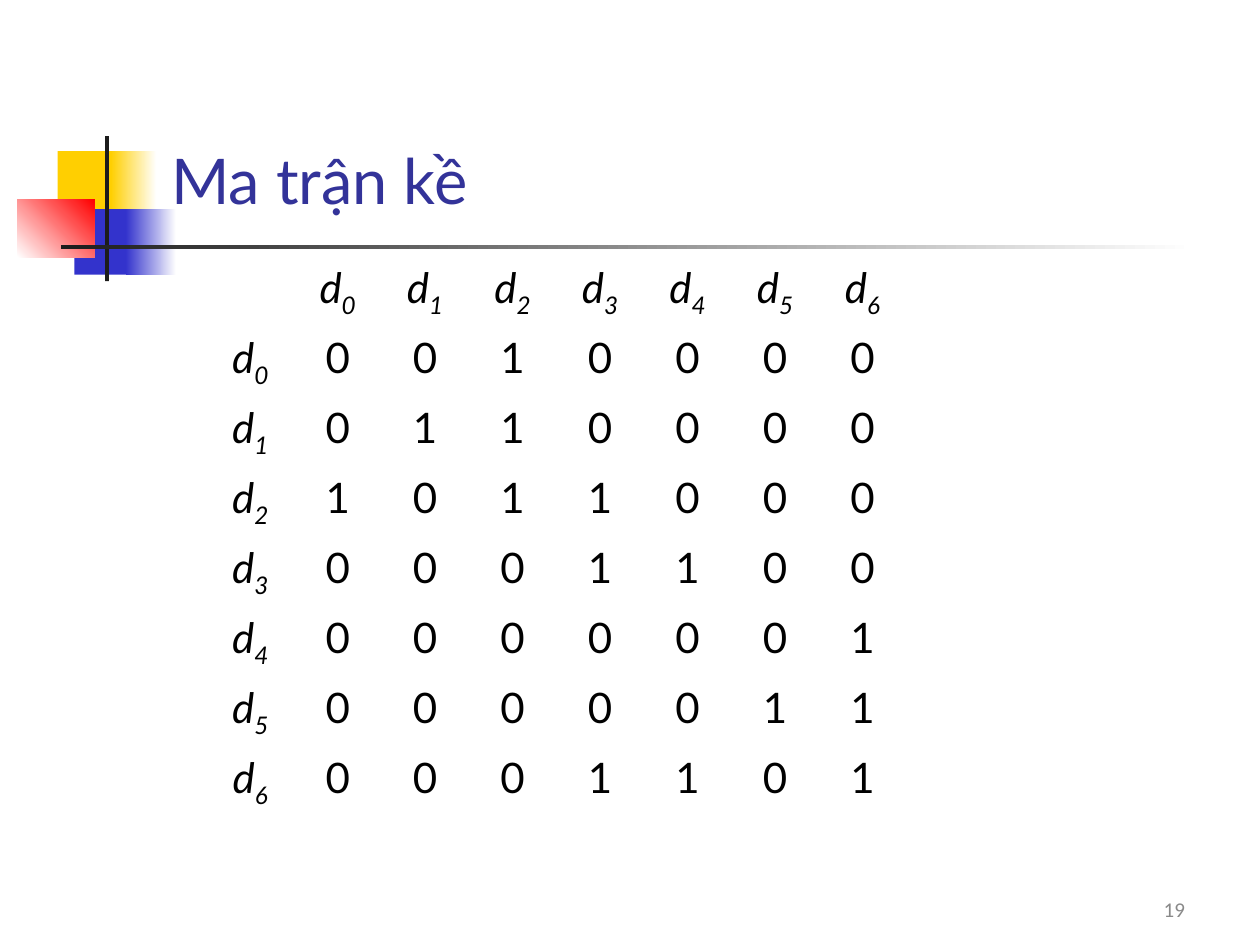
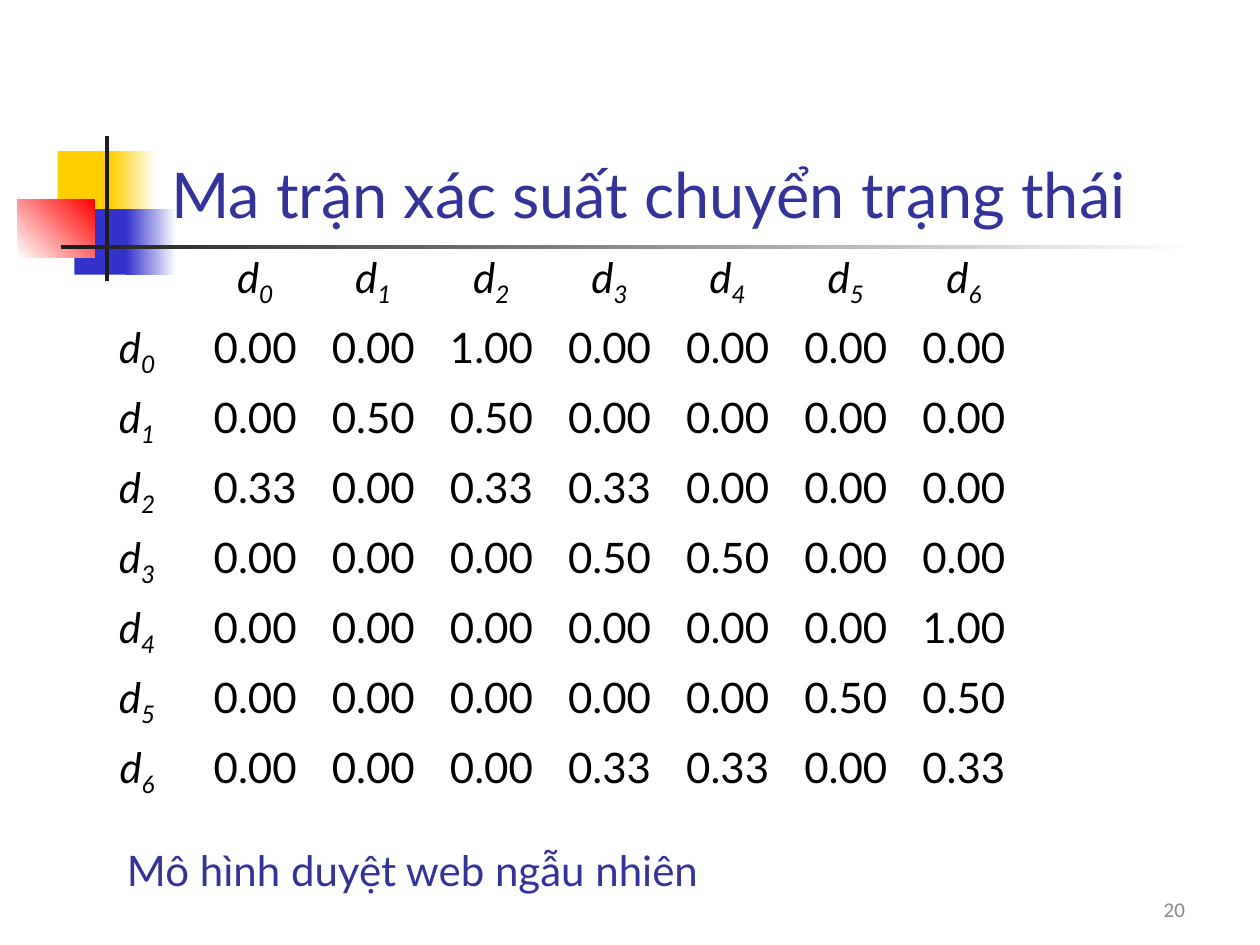
"""Build two slides: an adjacency matrix and its transition probability matrix."""
import lxml.etree
import pptx
import pptx.dml.color
import pptx.enum.shapes
import pptx.enum.text
import pptx.oxml.ns
import pptx.util

Pt = pptx.util.Pt
RGB = pptx.dml.color.RGBColor
qn = pptx.oxml.ns.qn

YELLOW = RGB(0xFF, 0xCF, 0x01)
BLUE = RGB(0x33, 0x33, 0xCC)
RED = RGB(0xFF, 0x00, 0x00)
DARK = RGB(0x1C, 0x1C, 0x1C)
WHITE = RGB(0xFF, 0xFF, 0xFF)
BLACK = RGB(0x00, 0x00, 0x00)
INDIGO = RGB(0x33, 0x33, 0x99)
GREY = RGB(0x89, 0x89, 0x89)
NO_GRID_STYLE = "{2D5ABB26-0587-4C30-8999-92F81FD0307C}"
FIRST_NUMBER = 19
ROW_HEIGHT = 40

LINKS = [
    [0, 0, 1, 0, 0, 0, 0],
    [0, 1, 1, 0, 0, 0, 0],
    [1, 0, 1, 1, 0, 0, 0],
    [0, 0, 0, 1, 1, 0, 0],
    [0, 0, 0, 0, 0, 0, 1],
    [0, 0, 0, 0, 0, 1, 1],
    [0, 0, 0, 1, 1, 0, 1],
]
counts = [[str(v) for v in row] for row in LINKS]
chances = [[f"{v / sum(row):.2f}" for v in row] for row in LINKS]

BANDS = [
    (33, 86.4, 34.5, 37.5, YELLOW, None, 0),
    (63.4, 86.4, 26, 37.5, YELLOW, WHITE, 0),
    (42.5, 119.5, 33, 37.5, BLUE, None, 0),
    (72, 119.5, 28.8, 37.5, BLUE, WHITE, 0),
    (10, 113.8, 44, 33.2, WHITE, RED, 45),
    (60, 77.8, 2.3, 82.8, DARK, None, 0),
    (34.6, 140, 648, 2.3, DARK, WHITE, 0),
]
SLIDES = [
    ("Ma trận kề", 77, counts, 118, 146.2, 50),
    ("Ma trận xác suất chuyển trạng thái", 85, chances, 44.6, 140.4, 67.5),
]


def style(run, size, color, name="Lato"):
    run.font.size = Pt(size)
    run.font.name = name
    run.font.color.rgb = color


def add_text(s, text, box, size, color, name="Lato"):
    sp = s.shapes.add_textbox(*map(Pt, box))
    sp.text_frame.word_wrap = True
    p = sp.text_frame.paragraphs[0]
    p.text = text
    style(p.runs[0], size, color, name)
    return sp


prs = pptx.Presentation()
prs.slide_width, prs.slide_height = Pt(720), Pt(540)
prs.element.set("firstSlideNum", str(FIRST_NUMBER))
layout = prs.slide_layouts[5]

for number, (title, title_top, values, left, top, col_width) in enumerate(SLIDES, FIRST_NUMBER):
    s = prs.slides.add_slide(layout)

    if number == FIRST_NUMBER:
        for x, y, w, h, start, end, angle in BANDS:
            sp = s.shapes.add_shape(pptx.enum.shapes.MSO_SHAPE.RECTANGLE, Pt(x), Pt(y), Pt(w), Pt(h))
            sp.shadow.inherit = False
            sp.line.fill.background()
            if end is None:
                sp.fill.solid()
                sp.fill.fore_color.rgb = start
            else:
                sp.fill.gradient()
                sp.fill.gradient_angle = angle
                for stop, color in zip(sp.fill.gradient_stops, (start, end)):
                    stop.color.rgb = color
            layout.shapes.element.append(sp.element)

    sp = add_text(s, str(number), (516.2, 509.8, 168, 19.4), 12, GREY, "Calibri")
    sp.text_frame.vertical_anchor = pptx.enum.text.MSO_ANCHOR.MIDDLE
    sp.text_frame.paragraphs[0].alignment = pptx.enum.text.PP_ALIGN.RIGHT
    r = sp.element.find(".//" + qn("a:r"))
    field = lxml.etree.Element(
        qn("a:fld"), id="{B6F15528-21DE-4FAA-801E-634DDDAF4B2B}", type="slidenum")
    field.extend(list(r))
    r.getparent().replace(r, field)

    frame = s.shapes.add_table(8, 8, Pt(left), Pt(top), Pt(8 * col_width), Pt(8 * ROW_HEIGHT))
    frame.element.find(".//" + qn("a:tableStyleId")).text = NO_GRID_STYLE
    table = frame.table
    table.first_row = table.horz_banding = False
    for i in range(8):
        for j in range(8):
            cell = table.cell(i, j)
            cell.fill.background()
            if i == j == 0:
                continue
            p = cell.text_frame.paragraphs[0]
            p.alignment = pptx.enum.text.PP_ALIGN.CENTER
            if i and j:
                p.text = values[i - 1][j - 1]
            else:
                p.text = "d"
                r = p.add_run()
                r.text = str(max(i, j) - 1)
                r.font._element.set("baseline", "-25000")
            for r in p.runs:
                style(r, 24, BLACK)
                r.font.italic = not (i and j)

    sp = s.shapes.title
    sp.left, sp.top, sp.width, sp.height = Pt(90.7), Pt(title_top), Pt(613.4), Pt(54.7)
    tf = sp.text_frame
    tf.text = title
    tf.auto_size = pptx.enum.text.MSO_AUTO_SIZE.NONE
    tf.vertical_anchor = pptx.enum.text.MSO_ANCHOR.TOP
    tf.paragraphs[0].alignment = pptx.enum.text.PP_ALIGN.LEFT
    style(tf.paragraphs[0].runs[0], 36, INDIGO)

add_text(s, "Mô hình duyệt web ngẫu nhiên", (65.5, 478.8, 561.6, 36), 24, INDIGO)

prs.save("out.pptx")
